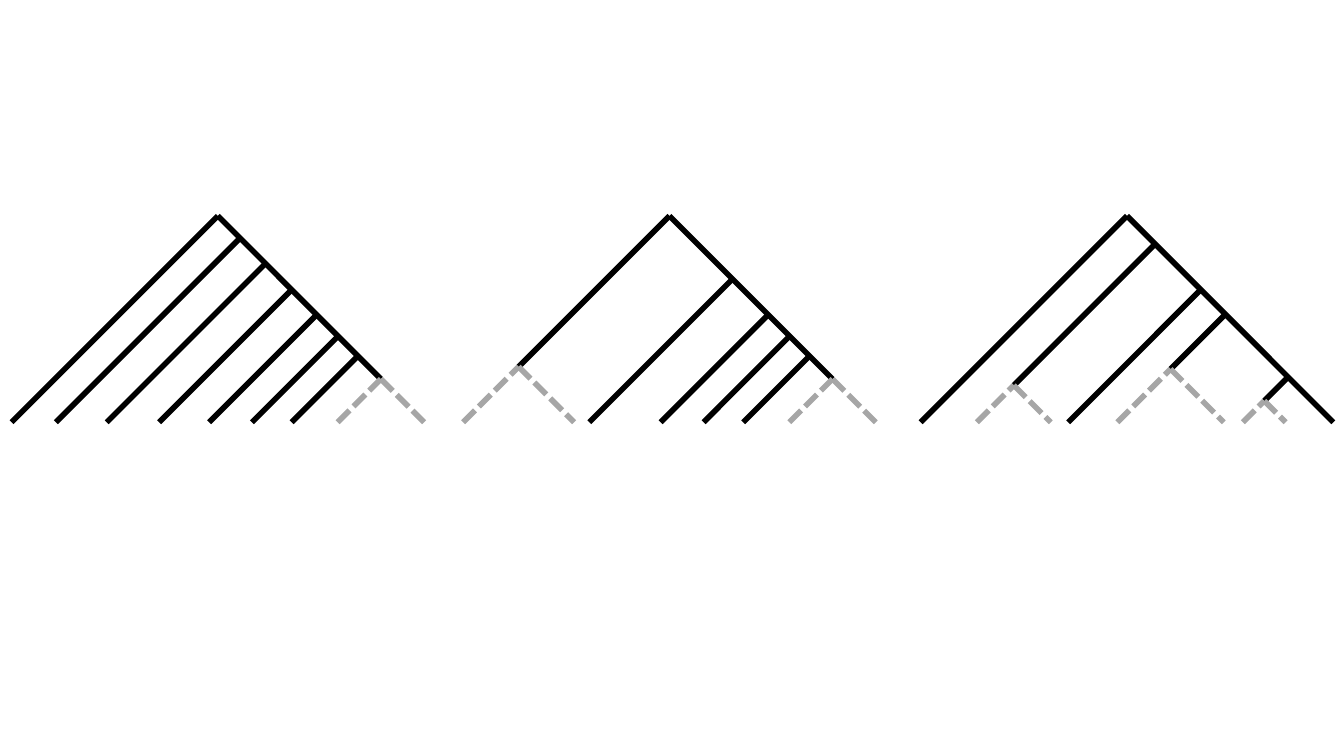
"""Draw three right-branching trees with dashed subtrees."""
from lxml import etree
from pptx import Presentation
from pptx.dml.color import RGBColor
from pptx.enum.dml import MSO_LINE
from pptx.enum.shapes import MSO_CONNECTOR
from pptx.oxml.ns import qn
from pptx.util import Cm, Pt

STRAIGHT = MSO_CONNECTOR.STRAIGHT
DASH = MSO_LINE.SQUARE_DOT
COLORS = {"branch": "000000", "subtree": "A6A6A6"}
TOP, BASE = 5.44, 10.64
FULL = BASE - TOP

# Each tree: apex, spine drop, and (drop along spine, length) of each branch.
TREES = [
    (5.49, 4.11, [(d, FULL - d) for d in (0, 0.56, 1.2, 1.86, 2.49, 3.03, 3.53)]),
    (16.87, 4.11, [(0, 3.8)] + [(d, FULL - d) for d in (1.59, 2.49, 3.03, 3.53)]),
    (28.4, FULL, [(0, FULL), (0.71, 3.56), (1.86, FULL - 1.86),
                  (2.48, 1.38), (4.06, 0.6)]),
]


def add_line(group, start, end, color, dash=None):
    """Add a 4 pt line between two points in cm."""
    line = group.shapes.add_connector(STRAIGHT, *map(Cm, start + end))
    line.line.width = Pt(4)
    line.line.color.rgb = RGBColor.from_string(COLORS[color])
    if dash:
        line.line.dash_style = dash
    etree.SubElement(line._element.spPr, qn("a:effectLst"))


def add_tent(group, x, y):
    """Add a dashed subtree from its peak down to the base."""
    drop = BASE - y
    add_line(group, (x - drop, BASE), (x, y), "subtree", DASH)
    add_line(group, (x, y), (x + drop, BASE), "subtree", DASH)


def add_tree(slide, apex, spine, limbs):
    """Add a spine, its branches, and a subtree at each short end."""
    group = slide.shapes.add_group_shape()
    ends = [(apex + spine, TOP + spine)]
    add_line(group, (apex, TOP), ends[0], "branch")
    for drop, size in limbs:
        x, y = apex + drop, TOP + drop
        end = (x - size, y + size)
        add_line(group, end, (x, y), "branch")
        ends.append(end)
    for x, y in ends:
        if BASE - y > 0.1:
            add_tent(group, x, y)


def main():
    """Build and save the slide."""
    deck = Presentation()
    deck.slide_width, deck.slide_height = Cm(33.87), Cm(19.05)
    slide = deck.slides.add_slide(deck.slide_layouts[6])
    for tree in TREES:
        add_tree(slide, *tree)
    deck.save("out.pptx")


if __name__ == "__main__":
    main()
